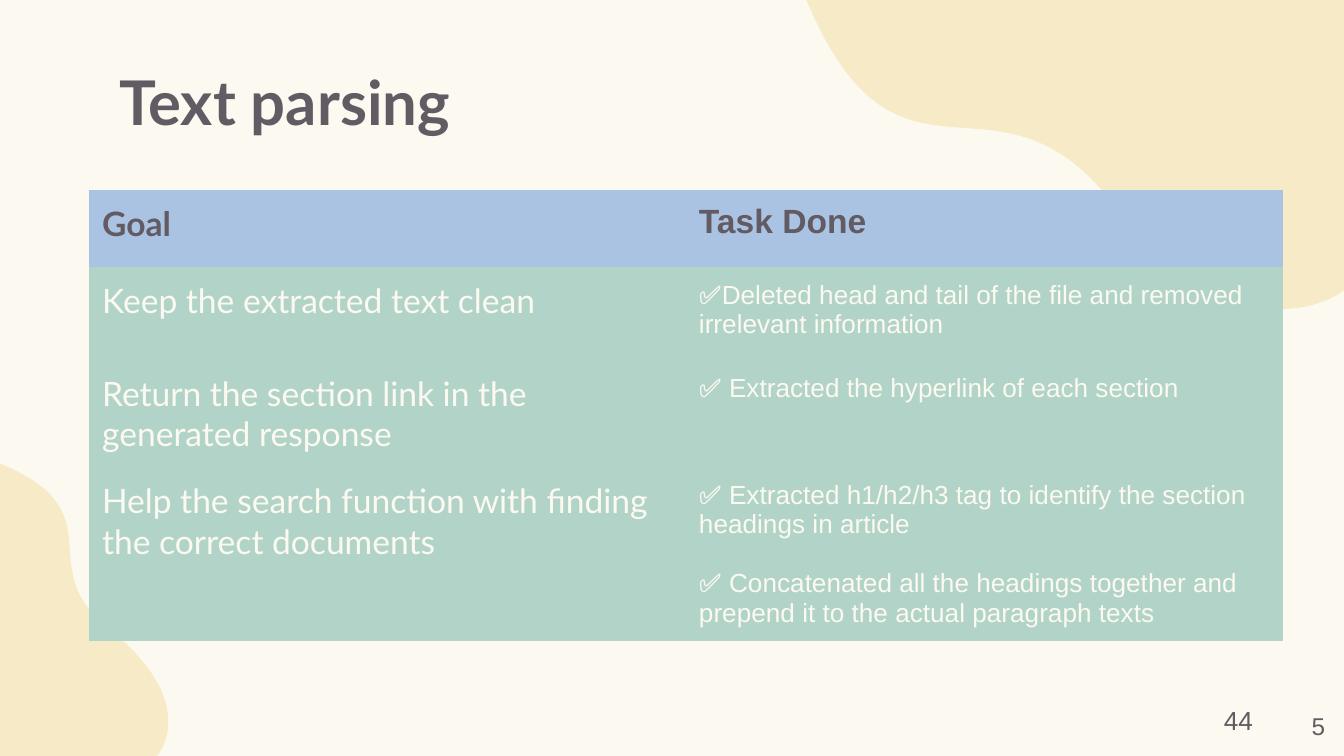
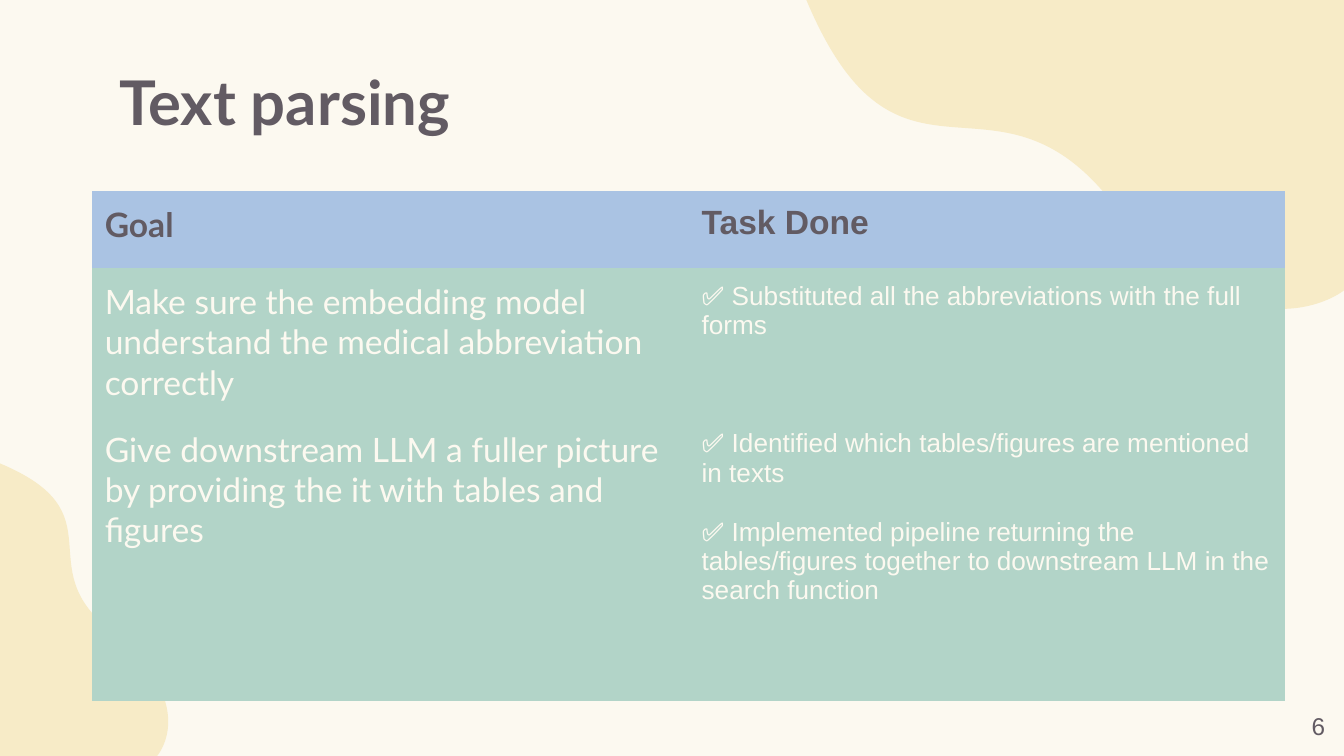
from lxml import etree
from pptx import Presentation
from pptx.dml.color import RGBColor
from pptx.enum.text import MSO_ANCHOR, PP_ALIGN
from pptx.oxml.ns import qn
from pptx.util import Cm, Pt

TOP, MIDDLE = MSO_ANCHOR.TOP, MSO_ANCHOR.MIDDLE
LEFT, RIGHT = PP_ALIGN.LEFT, PP_ALIGN.RIGHT

CREAM, SAND, INK = "FCF9F0", "F7EBC7", "625B63"
BLUE, GREEN = "AAC3E3", "B2D4C8"
LATO, ARIAL = "Lato", "Arial"
PAD, TIGHT = Cm(0.25), Cm(0.1)
PLAIN = "{2D5ABB26-0587-4C30-8999-92F81FD0307C}"
COL, SIDE = 11.28, 8.33
HEAD = ("Goal", ["Task Done"])

CLOUD = [
    [(24.21, 5.84)],
    [(23.42, 5.84), (22.28, 5.44), (20.98, 3.78)],
    [(18.77, 1.02), (16.97, 4.11), (15.24, 0)],
    [(25.4, 0)],
    [(25.4, 5.49)],
    [(25.4, 5.49), (24.97, 5.84), (24.21, 5.84)],
]
HILL = [
    [(3.18, 13.64)],
    [(3.18, 13.21), (2.95, 12.6), (2.06, 11.89)],
    [(0.56, 10.69), (2.24, 9.7), (0, 8.76)],
    [(0, 14.29)],
    [(2.97, 14.29)],
    [(2.97, 14.29), (3.18, 14.05), (3.18, 13.64)],
]

CLEAN = [
    ("Keep the extracted text clean",
     ["✅Deleted head and tail of the file and removed irrelevant information"]),
    ("Return the section link in the generated response",
     ["✅ Extracted the hyperlink of each section"]),
    ("Help the search function with finding the correct documents",
     ["✅ Extracted h1/h2/h3 tag to identify the section headings in article",
      "✅ Concatenated all the headings together and prepend it to the actual "
      "paragraph texts"]),
]
ENRICH = [
    ("Make sure the embedding model understand the medical abbreviation correctly",
     ["✅ Substituted all the abbreviations with the full forms"]),
    ("Give downstream LLM a fuller picture by providing the it with tables and figures",
     ["✅ Identified which tables/figures are mentioned in texts",
      "✅ Implemented pipeline returning the tables/figures together to downstream "
      "LLM in the search function"]),
    ("", []),
]


def paint(fill, color):
    fill.solid()
    fill.fore_color.rgb = RGBColor.from_string(color)


def add_run(para, text, font, size, color, bold=False):
    run = para.add_run()
    run.text = text
    run.font.name = font
    run.font.size = Pt(size)
    run.font.bold = bold
    run.font.color.rgb = RGBColor.from_string(color)


def add_text(slide, box, text, font, size, bold=False, align=LEFT, anchor=TOP):
    frame = slide.shapes.add_textbox(*map(Cm, box)).text_frame
    frame.word_wrap = True
    frame.vertical_anchor = anchor
    frame.margin_left = frame.margin_right = PAD
    frame.margin_top = frame.margin_bottom = PAD
    para = frame.paragraphs[0]
    para.alignment = align
    add_run(para, text, font, size, INK, bold)


def bend(blob, parts):
    lines = iter(list(blob.element.iter(qn("a:lnTo"))))
    for part in parts:
        group = [next(lines) for _ in part]
        if len(group) == 1:
            continue
        curve = etree.Element(qn("a:cubicBezTo"))
        group[0].addprevious(curve)
        for line in group:
            curve.append(line[0])
            line.getparent().remove(line)


def add_blob(slide, parts):
    first, *rest = [(Cm(x), Cm(y)) for part in parts for x, y in part]
    maker = slide.shapes.build_freeform(*first)
    maker.add_line_segments(rest, close=True)
    blob = maker.convert_to_shape()
    bend(blob, parts[1:])
    blob.shadow.inherit = False
    paint(blob.fill, SAND)
    blob.line.fill.background()


def fill_cell(cell, lines, fill, style):
    paint(cell.fill, fill)
    cell.margin_left = cell.margin_right = cell.margin_top = PAD
    cell.margin_bottom = TIGHT if len(lines) > 1 else PAD
    for index, line in enumerate(lines):
        if index:
            para = cell.text_frame.add_paragraph()
            para.space_before = Pt(16)
        else:
            para = cell.text_frame.paragraphs[0]
        add_run(para, line, *style)


def add_grid(slide, left, top, tall, tasks):
    shape = slide.shapes.add_table(
        len(tall), 2, Cm(left), Cm(top), Cm(SIDE), Cm(SIDE))
    for node in shape.element.iter(qn("a:tableStyleId")):
        node.text = PLAIN
    grid = shape.table
    grid.first_row = grid.horz_banding = False
    for col in grid.columns:
        col.width = Cm(COL)
    for index, (goal, done) in enumerate([HEAD, *tasks]):
        grid.rows[index].height = Cm(tall[index])
        if index:
            fill, ink, size, bold = GREEN, CREAM, 14, False
        else:
            fill, ink, size, bold = BLUE, INK, 18, True
        goals = [goal] if goal else []
        fill_cell(grid.cell(index, 0), goals, fill, (LATO, 18, ink, bold))
        fill_cell(grid.cell(index, 1), done, fill, (ARIAL, size, ink, bold))
    shape.width = shape.height = Cm(SIDE)


def add_page(deck, title, number):
    slide = deck.slides.add_slide(deck.slide_layouts[6])
    paint(slide.background.fill, CREAM)
    add_blob(slide, CLOUD)
    add_blob(slide, HILL)
    add_text(slide, (2, 0.95, 21.42, 1.88), title, LATO, 33, bold=True)
    add_text(slide, (23.77, 13.17, 1.52, 1.1), number, ARIAL, 13,
             align=RIGHT, anchor=MIDDLE)
    return slide


def main():
    deck = Presentation()
    deck.slide_width, deck.slide_height = Cm(25.4), Cm(14.29)

    slide = add_page(deck, "Text parsing", "5")
    add_grid(slide, 1.68, 3.59, [1.46, 1.76, 1.52, 1.52], CLEAN)
    add_text(slide, (22.88, 13.06, 1.45, 1.24), "44", ARIAL, 14)

    slide = add_page(deck, "Text parsing", "6")
    add_grid(slide, 1.73, 3.61, [1.46, 1.76, 3.18, 1.52], ENRICH)

    deck.save("out.pptx")


if __name__ == "__main__":
    main()
